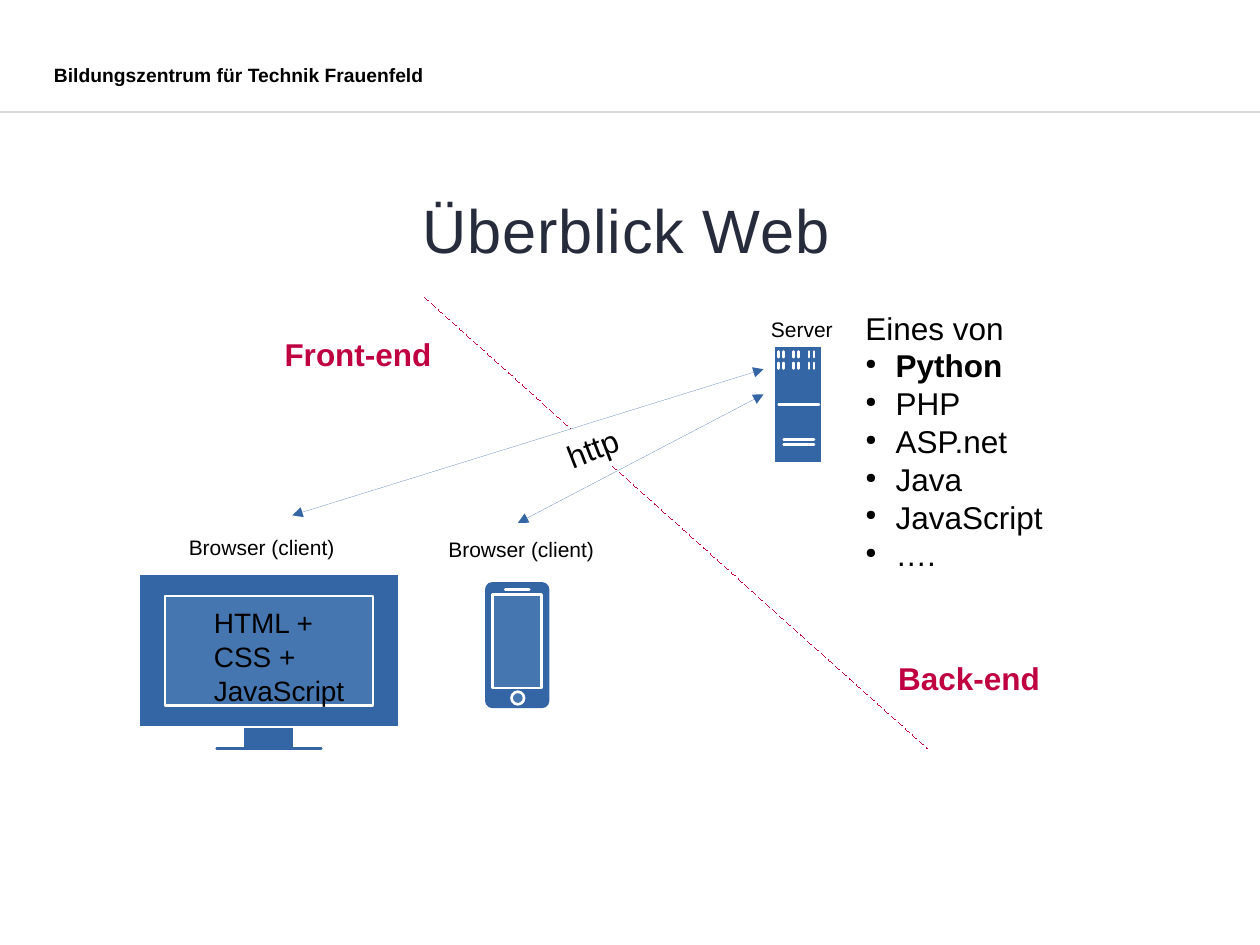
from lxml import etree
from pptx import Presentation
from pptx.dml.color import RGBColor
from pptx.enum.dml import MSO_LINE
from pptx.enum.shapes import MSO_CONNECTOR, MSO_SHAPE
from pptx.enum.text import MSO_AUTO_SIZE, PP_ALIGN
from pptx.oxml.ns import qn
from pptx.util import Inches, Pt

COLS, ROWS = 100, 75
BLUE, PALE, RED, DARK, WHITE = "3465A4", "729FCF", "BF0041", "272C3D", "FFFFFF"


def rgb(value):
    return RGBColor.from_string(value)


def child(parent, tag, **attrs):
    return etree.SubElement(parent, qn(tag), {k: str(v) for k, v in attrs.items()})


class Deck:
    """Holds the style, the current slide and the container being drawn into."""

    font = "Arial"

    def __init__(self):
        self.prs = Presentation()
        self.prs.slide_width, self.prs.slide_height = Inches(10), Inches(7.5)
        self.s = self.prs.slides.add_slide(self.prs.slide_layouts[6])
        self.shapes = self.s.shapes

    def x(self, cols):
        return int(self.prs.slide_width * cols / COLS)

    def y(self, rows):
        return int(self.prs.slide_height * rows / ROWS)

    def box(self, at):
        left, top, width, height = at
        return self.x(left), self.y(top), self.x(width), self.y(height)

    def group(self):
        self.shapes = self.s.shapes.add_group_shape().shapes

    def ungroup(self):
        self.shapes = self.s.shapes

    def fade(self, fill, percent):
        """Make a solid fill partly transparent."""
        color = fill._xPr.find(qn("a:solidFill"))[0]
        child(color, "a:alpha", val=percent * 1000)

    def shape(self, kind, at, fill=BLUE, line=WHITE, alpha=None):
        sp = self.shapes.add_shape(kind, *self.box(at))
        sp.shadow.inherit = False
        sp.fill.solid()
        sp.fill.fore_color.rgb = rgb(fill)
        if alpha:
            self.fade(sp.fill, alpha)
        sp.line.color.rgb = rgb(line)
        sp.line.width = Pt(1.5)
        return sp

    def line(self, x1, y1, x2, y2, color=WHITE, width=1.5, alpha=None,
             dash=None, arrows=False):
        sp = self.shapes.add_connector(MSO_CONNECTOR.STRAIGHT, self.x(x1),
                                       self.y(y1), self.x(x2), self.y(y2))
        sp.line.color.rgb = rgb(color)
        if alpha:
            self.fade(sp.line.fill, alpha)
        if dash:
            sp.line.dash_style = dash
        # A hairline needs its zero width written out
        ln = sp.line._get_or_add_ln()
        ln.set("w", str(Pt(width)))
        if width == 1.5:
            ln.set("cap", "rnd")
        if arrows:
            for end in ("a:headEnd", "a:tailEnd"):
                child(ln, end, type="triangle")
        child(sp._element.spPr, "a:effectLst")

    def text(self, at, lines, size, color="000000", bold=False, wrap=False,
             align=PP_ALIGN.LEFT, leading=None, spacing=None, bullets=False,
             strong=(), fill=None, rotation=0):
        sp = self.shapes.add_textbox(*self.box(at))
        sp.rotation = rotation
        if fill:
            sp.fill.solid()
            sp.fill.fore_color.rgb = rgb(fill)
        tf = sp.text_frame
        tf.word_wrap = wrap
        tf.auto_size = MSO_AUTO_SIZE.NONE if leading else MSO_AUTO_SIZE.SHAPE_TO_FIT_TEXT
        for i, content in enumerate(lines):
            p = tf.add_paragraph() if i else tf.paragraphs[0]
            p.alignment = align
            if leading:
                p.line_spacing = Pt(leading)
            if bullets and i:
                self.bullet(p)
            r = p.add_run()
            r.text = content
            style = {"name": self.font, "size": Pt(size),
                     "bold": bold or content in strong}
            for name, value in style.items():
                setattr(r.font, name, value)
            r.font.color.rgb = rgb(color)
            if spacing:
                r._r.get_or_add_rPr().set("spc", str(int(spacing * 100)))

    def bullet(self, p):
        pPr = p._p.get_or_add_pPr()
        pPr.set("marL", str(Inches(0.24)))
        pPr.set("indent", str(-Inches(0.24)))
        child(child(pPr, "a:buClr"), "a:srgbClr", val="000000")
        child(pPr, "a:buSzPct", val=45000)
        child(pPr, "a:buChar", char="●")


def main():
    deck = Deck()
    rect = MSO_SHAPE.RECTANGLE

    # Header and title
    deck.text((3.8, 16, 91.8, 5.5), ["Überblick Web"], 35, DARK, wrap=True,
              align=PP_ALIGN.CENTER, leading=33, spacing=0.5)
    deck.text((3.3, 4.4, 41.1, 3.2), ["Bildungszentrum für Technik Frauenfeld"],
              11, bold=True, wrap=True, leading=14)
    deck.line(0, 8.9, COLS, 8.9, DARK, 1, alpha=19)

    # Desktop screen
    deck.group()
    deck.shape(rect, (11, 45.5, 20.7, 12.2))
    deck.shape(rect, (13.1, 47.3, 16.5, 8.7), PALE, alpha=30)
    deck.shape(rect, (19.3, 57.7, 4.1, 1.7))
    deck.line(17.2, 59.4, 25.5, 59.4, BLUE)

    # Phone
    deck.group()
    body = deck.shape(MSO_SHAPE.ROUNDED_RECTANGLE, (38.6, 46.3, 4.9, 9.8), line=BLUE)
    body.adjustments[0] = 0.1
    deck.shape(rect, (39.1, 47.2, 3.9, 7.4), PALE, alpha=30)
    deck.line(40.1, 46.8, 42, 46.8)
    deck.shape(MSO_SHAPE.OVAL, (40.6, 54.9, 1, 1), PALE, alpha=30)

    # Server: case, slots, and pairs of vents in two rows
    deck.group()
    deck.shape(rect, (61.4, 27.4, 3.9, 9.4))
    deck.line(61.8, 32.1, 65, 32.1)
    for row in (34.9, 35.3):
        deck.line(62.2, row, 64.6, row)
    for pair in range(3):
        for col in (61.8 + 1.2 * pair, 62.2 + 1.2 * pair):
            for row in (27.9, 28.8):
                deck.line(col, row + 0.45, col, row)
    deck.text((60.2, 24.6, 6.9, 2.9), ["Server"], 12)
    deck.ungroup()

    # Client labels and contents
    for left, top in ((14, 41.9), (34.6, 42.1)):
        deck.text((left, top, 13.6, 2.9), ["Browser (client)"], 12, wrap=True)
    deck.line(41.1, 41.5, 60.6, 31.3, BLUE, 0, arrows=True)
    deck.text((16, 47.6, 12.4, 8.4), ["HTML +", "CSS +", "JavaScript"], 16)

    # Server languages
    deck.text((67.7, 24, 16.5, 20.6),
              ["Eines von", "Python", "PHP", "ASP.net", "Java", "JavaScript", "…."],
              18, bullets=True, strong=("Python",))

    # Border between front-end and back-end, crossed by http
    deck.line(33.7, 23.6, 73.6, 59.4, RED, 0, dash=MSO_LINE.DASH)
    deck.text((43.9, 33.5, 6.5, 3.8), ["http"], 18, fill=WHITE, rotation=-21.4)
    deck.line(23.2, 40.9, 60.6, 29.3, BLUE, 0, arrows=True)
    deck.text((21.6, 26.1, 13.9, 3.8), ["Front-end"], 18, RED, bold=True)
    deck.text((70.3, 51.8, 13.6, 3.8), ["Back-end"], 18, RED, bold=True)

    deck.prs.save("out.pptx")


if __name__ == "__main__":
    main()
